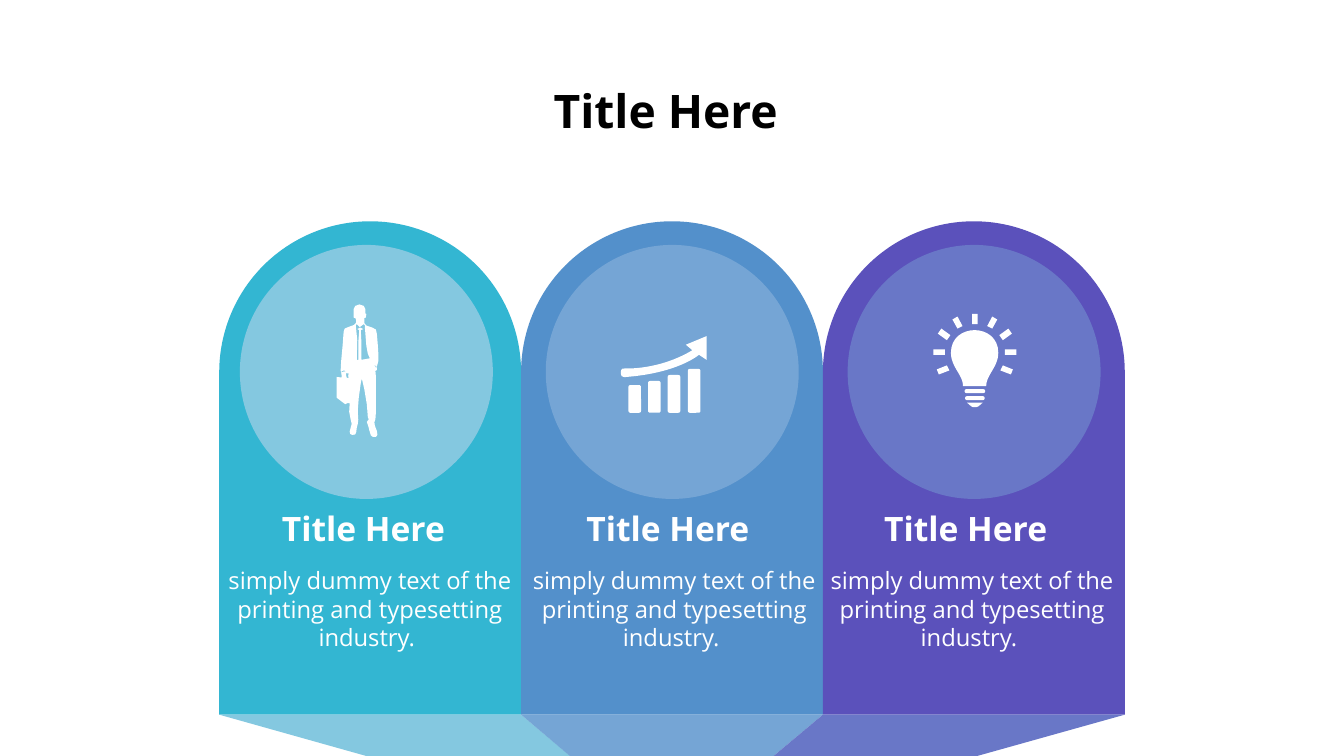
from pptx import Presentation
from pptx.dml.color import RGBColor
from pptx.enum.shapes import MSO_SHAPE as Shape
from pptx.enum.text import MSO_ANCHOR as Anchor, MSO_AUTO_SIZE as AutoSize, PP_ALIGN as Align
from pptx.util import Inches, Pt

FONT = "Open Sans"
BLACK = RGBColor(0x00, 0x00, 0x00)
WHITE = RGBColor(0xFF, 0xFF, 0xFF)
TEAL = RGBColor(0x33, 0xB6, 0xD2)
LIGHT_TEAL = RGBColor(0x84, 0xC8, 0xE0)
BLUE = RGBColor(0x53, 0x90, 0xCB)
LIGHT_BLUE = RGBColor(0x75, 0xA5, 0xD5)
PURPLE = RGBColor(0x5B, 0x51, 0xBB)
LIGHT_PURPLE = RGBColor(0x69, 0x77, 0xC7)

HEADING = "Title Here "
BODY = "simply dummy text of the printing and typesetting industry. "
PANEL_LEFT, PANEL_TOP, PANEL_WIDTH, PANEL_HEIGHT = 4.35, 4.39, 5.99, 9.79
FLOOR_TOP, PAGE_BOTTOM = 14.18, 15

PANELS = [
    (TEAL, LIGHT_TEAL, 4.76, 4.34, (7.27, 11.32)),
    (BLUE, LIGHT_BLUE, 10.83, 10.38, (11.31, 15.35)),
    (PURPLE, LIGHT_PURPLE, 16.82, 16.29, (15.35, 19.39)),
]

MAN_BODY = [
    (7.51, 7.16), (7.51, 7.05), (7.5, 6.87), (7.48, 6.63), (7.46, 6.54), (7.39, 6.5),
    (7.27, 6.46), (7.23, 6.41), (7.23, 6.31), (7.26, 6.3), (7.27, 6.23), (7.25, 6.22),
    (7.25, 6.13), (7.22, 6.07), (7.13, 6.04), (7.05, 6.07), (7.02, 6.13), (7.02, 6.24),
    (7.02, 6.3), (7.06, 6.32), (7.07, 6.38), (7.06, 6.41), (7.02, 6.45), (6.91, 6.49),
    (6.84, 6.52), (6.82, 6.58), (6.8, 6.85), (6.77, 7.17), (6.76, 7.36), (6.77, 7.38),
    (6.79, 7.36), (6.83, 7.35), (6.87, 7.38), (6.83, 7.37), (6.77, 7.39), (6.78, 7.45),
    (6.78, 7.49), (6.68, 7.48), (6.68, 7.89), (6.85, 8.02), (6.89, 8), (6.94, 8),
    (6.93, 8.17), (6.96, 8.33), (6.98, 8.41), (6.94, 8.56), (6.95, 8.61), (6.99, 8.63),
    (7.05, 8.62), (7.07, 8.57), (7.08, 8.49), (7.1, 8.41), (7.11, 8.33), (7.1, 8.15),
    (7.12, 7.89), (7.16, 7.6), (7.18, 7.51), (7.23, 7.72), (7.28, 8.02), (7.3, 8.28),
    (7.32, 8.32), (7.28, 8.37), (7.31, 8.46), (7.33, 8.54), (7.36, 8.64), (7.4, 8.67),
    (7.46, 8.67), (7.49, 8.63), (7.48, 8.55), (7.44, 8.45), (7.43, 8.38), (7.45, 8.32),
    (7.46, 8.18), (7.46, 7.85), (7.46, 7.47), (7.45, 7.36), (7.48, 7.34), (7.48, 7.27),
]
BAG_HANDLE = [
    (6.92, 7.5), (6.89, 7.5), (6.88, 7.49), (6.87, 7.45), (6.87, 7.39),
    (6.89, 7.41), (6.92, 7.41), (6.91, 7.46),
]
SHIRT = [
    (7.17, 7.14), (7.17, 6.75), (7.16, 6.55), (7.21, 6.53), (7.15, 6.5), (7.09, 6.53),
    (7.13, 6.55), (7.11, 6.8), (7.11, 7.14), (7.08, 7.14), (7.09, 6.75), (7.06, 6.45),
    (7.08, 6.43), (7.14, 6.49), (7.22, 6.43), (7.25, 6.47), (7.24, 6.48), (7.25, 6.6),
    (7.27, 6.86), (7.3, 7.02), (7.34, 7.11),
]
POCKET = [(7.47, 7.32), (7.45, 7.27), (7.4, 7.25), (7.47, 7.26)]

BULB_CENTRE = 19.345
SIDE_RAYS = [
    [(19.79, 6.34), (19.69, 6.28), (19.59, 6.47), (19.69, 6.52)],
    [(20.08, 6.62), (20.01, 6.52), (19.83, 6.65), (19.9, 6.75)],
    [(20.17, 6.93), (19.94, 6.93), (19.94, 7.04), (20.17, 7.04)],
    [(20.1, 7.33), (19.9, 7.25), (19.85, 7.35), (20.06, 7.43)],
]
CHART_BARS = [(12.47, 7.64), (12.86, 7.56), (13.25, 7.44), (13.65, 7.32)]
CHART_BOTTOM = 8.19


def curve(start, pull_one, pull_two, end, steps=16):
    points = []
    for step in range(steps + 1):
        t = step / steps
        weights = ((1 - t) ** 3, 3 * t * (1 - t) ** 2, 3 * t * t * (1 - t), t ** 3)
        corners = (start, pull_one, pull_two, end)
        points.append(tuple(sum(w * c[axis] for w, c in zip(weights, corners)) for axis in (0, 1)))
    return points


def add_text(frame, text, size, color, bold=False, align=Align.CENTER, spacing=None):
    para = frame.paragraphs[0]
    para.alignment = align
    if spacing:
        para.line_spacing = spacing
    span = para.add_run()
    span.text = text
    span.font.name = FONT
    span.font.size = Pt(size)
    span.font.bold = bold
    span.font.color.rgb = color


class Painter:
    def __init__(self, page, font_color=WHITE):
        self.page = page
        self.font_color = font_color

    def paint(self, shape, color):
        shape.shadow.inherit = False
        shape.fill.solid()
        shape.fill.fore_color.rgb = color
        shape.line.fill.background()
        return shape

    def preset(self, kind, left, top, width, height, color, rounding=()):
        shape = self.page.shapes.add_shape(
            kind, Inches(left), Inches(top), Inches(width), Inches(height))
        for index, amount in enumerate(rounding):
            shape.adjustments[index] = amount
        return self.paint(shape, color)

    def outline(self, contours, color):
        scaled = [[(Inches(x), Inches(y)) for x, y in contour] for contour in contours]
        builder = self.page.shapes.build_freeform(*scaled[0][0])
        builder.add_line_segments(scaled[0][1:], close=True)
        for contour in scaled[1:]:
            builder.move_to(*contour[0])
            builder.add_line_segments(contour[1:], close=True)
        return self.paint(builder.convert_to_shape(), color)

    def text(self, left, top, width, height, text, size, color=None, margin=None,
             anchor=Anchor.TOP, grow=True, **style):
        box = self.page.shapes.add_textbox(
            Inches(left), Inches(top), Inches(width), Inches(height))
        frame = box.text_frame
        frame.word_wrap = True
        frame.vertical_anchor = anchor
        frame.auto_size = AutoSize.SHAPE_TO_FIT_TEXT if grow else AutoSize.NONE
        if margin is not None:
            frame.margin_left = frame.margin_right = Inches(margin)
            frame.margin_top = frame.margin_bottom = Inches(margin)
        add_text(frame, text, size, color or self.font_color, **style)


def draw_bulb(painter):
    glass = curve((18.87, 7), (18.87, 6.4), (19.81, 6.4), (19.81, 7))
    glass += curve((19.81, 7), (19.81, 7.28), (19.57, 7.44), (19.57, 7.66))
    glass += curve((19.11, 7.66), (19.11, 7.44), (18.87, 7.28), (18.87, 7))
    tip = [(19.19, 7.99), (19.27, 8.06), (19.31, 8.08), (19.37, 8.08), (19.42, 8.06), (19.5, 7.99)]
    top_ray = [(19.29, 6.23), (19.4, 6.23), (19.4, 6.43), (19.29, 6.43)]
    mirrored = [[(2 * BULB_CENTRE - x, y) for x, y in ray] for ray in SIDE_RAYS]
    painter.outline([glass, tip, top_ray, *SIDE_RAYS, *mirrored], WHITE)
    for left, top, width in ((19.14, 7.72, 0.41), (19.15, 7.86, 0.39)):
        painter.preset(Shape.ROUNDED_RECTANGLE, left, top, width, 0.08, WHITE, (0.5,))


def draw_growth(painter):
    parts = [
        painter.preset(Shape.ROUNDED_RECTANGLE, left, top, 0.25, CHART_BOTTOM - top, WHITE, (0.15,))
        for left, top in CHART_BARS
    ]
    arrow = curve((12.41, 7.31), (12.41, 7.31), (13.07, 7.35), (13.74, 6.95))
    arrow += [(13.61, 6.84), (14.02, 6.67), (14.02, 7.14)]
    arrow += curve((13.87, 7.04), (13.87, 7.04), (13.46, 7.4), (12.43, 7.48))
    arrow += curve((12.43, 7.48), (12.43, 7.48), (12.32, 7.5), (12.32, 7.42), 4)
    arrow += curve((12.32, 7.42), (12.32, 7.37), (12.31, 7.3), (12.41, 7.31), 4)
    parts.append(painter.outline([arrow], WHITE))
    painter.page.shapes.add_group_shape(parts)


def main():
    deck = Presentation()
    deck.slide_width, deck.slide_height = Inches(26.67), Inches(15)
    painter = Painter(deck.slides.add_slide(deck.slide_layouts[6]))

    for index, (color, tint, circle_left, text_left, (base_left, base_right)) in enumerate(PANELS):
        left = PANEL_LEFT + index * PANEL_WIDTH
        painter.preset(Shape.ROUND_2_SAME_RECTANGLE, left, PANEL_TOP,
                       PANEL_WIDTH, PANEL_HEIGHT, color, (0.5, 0))
        painter.preset(Shape.OVAL, circle_left, 4.86, 5.02, 5.04, tint)
        painter.outline([[(left, FLOOR_TOP), (left + PANEL_WIDTH, FLOOR_TOP),
                          (base_right, PAGE_BOTTOM), (base_left, PAGE_BOTTOM)]], tint)
        painter.text(text_left, 11.18, 6, 1.82, BODY, 34)
        painter.text(text_left + 0.78, 10.08, 4.36, 0.81, HEADING, 48, margin=0, bold=True)

    painter.outline([MAN_BODY, BAG_HANDLE, SHIRT, POCKET], WHITE)
    draw_growth(painter)
    draw_bulb(painter)
    painter.text(1.83, 0.8, 23, 2.9, HEADING, 66, BLACK, anchor=Anchor.MIDDLE,
                 grow=False, bold=True, spacing=0.9)
    deck.save("out.pptx")


if __name__ == "__main__":
    main()
